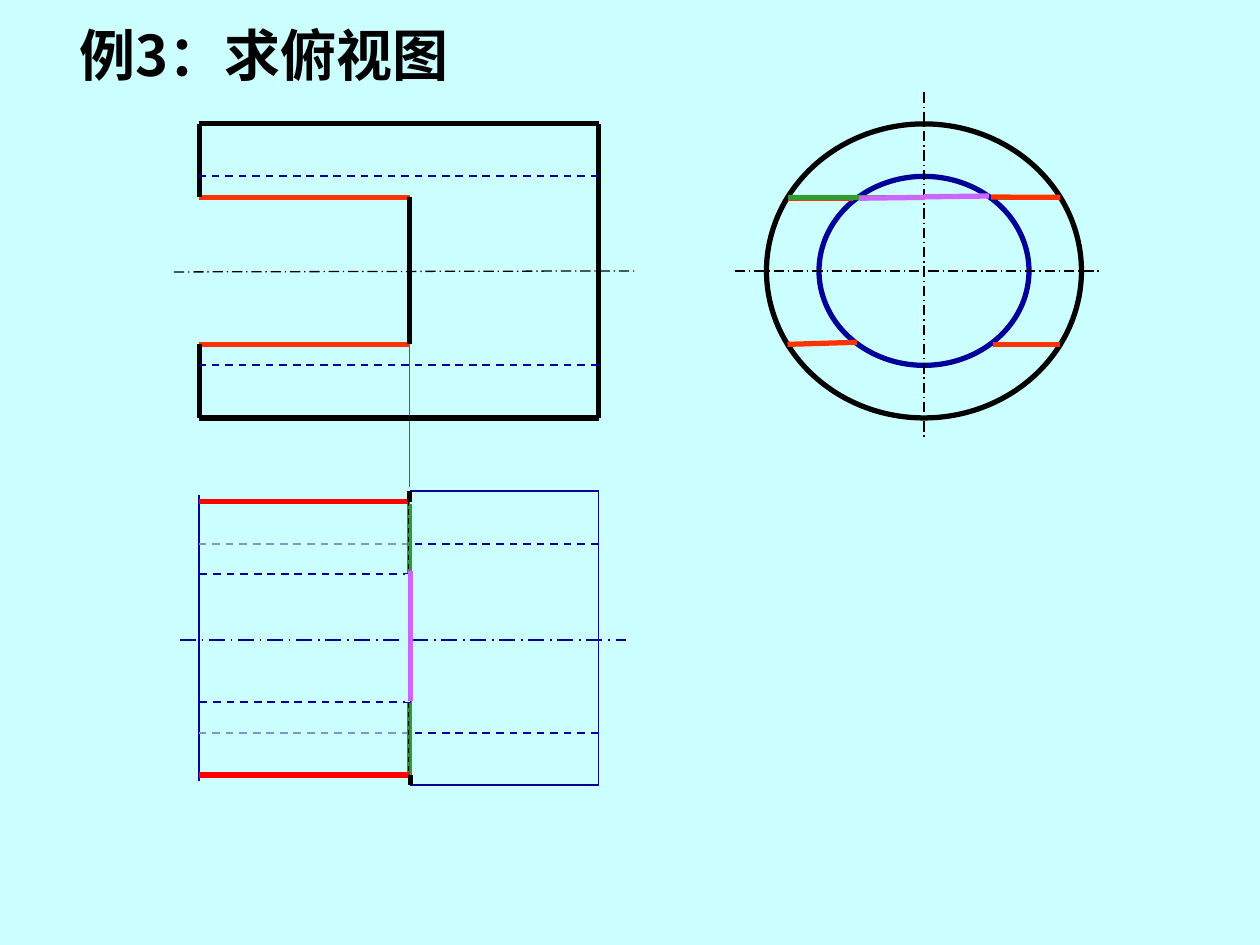
from lxml.etree import SubElement
from pptx import Presentation
from pptx.dml.color import RGBColor
from pptx.enum.dml import MSO_LINE
from pptx.enum.shapes import MSO_CONNECTOR, MSO_SHAPE
from pptx.enum.text import MSO_ANCHOR, MSO_AUTO_SIZE, PP_ALIGN
from pptx.oxml.ns import qn
from pptx.util import Pt

FONT = "Noto Sans CJK SC"
PAPER = RGBColor(0xCC, 0xFF, 0xFF)
BLACK = RGBColor(0x00, 0x00, 0x00)
NAVY = RGBColor(0x00, 0x00, 0x99)
PALE_BLUE = RGBColor(0x77, 0x99, 0xCC)
ORANGE = RGBColor(0xFF, 0x33, 0x00)
RED = RGBColor(0xFF, 0x00, 0x00)
GREEN = RGBColor(0x33, 0x99, 0x33)
TEAL = RGBColor(0x33, 0x99, 0x66)
MAGENTA = RGBColor(0xCC, 0x00, 0xFF)
VIOLET = RGBColor(0xCC, 0x66, 0xFF)
DASH, AXIS = MSO_LINE.DASH, MSO_LINE.LONG_DASH_DOT
THIN, THICK, HAIR = 1.1, 3, 0.75

# Shared drawing levels, in points
LEFT, SLOT, RIGHT = 114, 234, 342
TOP, BOTTOM = 70.8, 238.8
SLOT_TOP, SLOT_BOTTOM = 112.8, 196.8
BORE_TOP, BORE_BOTTOM = 100.8, 208.8
CX, CY = 528, 154.8
PLAN = 210  # drop from front view to top view
PLAN_TOP, PLAN_BOTTOM = TOP + PLAN, BOTTOM + PLAN
PLAN_BORES = (BORE_TOP + PLAN, BORE_BOTTOM + PLAN)
CUT_TOP, CUT_BOTTOM = 286.8, 442.8
INNER_TOP, INNER_BOTTOM = 328.2, 401

prs = Presentation()
prs.slide_width, prs.slide_height = Pt(720), Pt(540)
s = prs.slides.add_slide(prs.slide_layouts[5])
s.background.fill.solid()
s.background.fill.fore_color.rgb = PAPER


def line(x1, y1, x2, y2, color, width, dash=None):
    c = s.shapes.add_connector(MSO_CONNECTOR.STRAIGHT, Pt(x1), Pt(y1), Pt(x2), Pt(y2))
    c.line.color.rgb = color
    c.line.width = Pt(width)
    if dash:
        c.line.dash_style = dash
    SubElement(c._element.spPr, qn("a:effectLst"))


def ellipse(rx, ry, color, fill=None):
    sp = s.shapes.add_shape(MSO_SHAPE.OVAL, Pt(CX - rx), Pt(CY - ry), Pt(2 * rx), Pt(2 * ry))
    sp.shadow.inherit = False
    if fill is None:
        sp.fill.background()
    else:
        sp.fill.solid()
        sp.fill.fore_color.rgb = fill
    sp.line.color.rgb = color
    sp.line.width = Pt(THICK)


# Title, with room for the whole line
title = s.shapes.title
title.left, title.top, title.width, title.height = Pt(38.2), Pt(7.9), Pt(270), Pt(46)
tf = title.text_frame
frame = dict(word_wrap=False, auto_size=MSO_AUTO_SIZE.NONE, vertical_anchor=MSO_ANCHOR.TOP,
             margin_left=Pt(7.2), margin_right=Pt(7.2), margin_top=Pt(3.6), margin_bottom=Pt(3.6))
for name, value in frame.items():
    setattr(tf, name, value)
p = tf.paragraphs[0]
p.alignment = PP_ALIGN.LEFT
r = p.add_run()
r.text = "例3：求俯视图"
for name, value in dict(name=FONT, size=Pt(32), bold=True).items():
    setattr(r.font, name, value)
r.font.color.rgb = BLACK
SubElement(r._r.get_or_add_rPr(), qn("a:ea")).set("typeface", FONT)

# Top view: cylinder, with the bore paler where it is cut away
line(103, 365.8, 358, 365.8, NAVY, THIN, AXIS)
for x in (LEFT, RIGHT):
    line(x, PLAN_TOP, x, PLAN_BOTTOM, NAVY, THIN)
for y in PLAN_BORES:
    line(RIGHT, y, SLOT, y, NAVY, THIN, DASH)
    line(SLOT, y, LEFT, y, PALE_BLUE, THIN, DASH)
for y in (PLAN_BOTTOM, PLAN_TOP):
    line(LEFT, y, RIGHT, y, NAVY, THIN)

# Lower slot trace, projector and front view axis
line(SLOT, CUT_BOTTOM, SLOT, 365, GREEN, THICK)
line(CX, SLOT_TOP, 606, SLOT_TOP, TEAL, THICK)
line(SLOT, SLOT_BOTTOM, SLOT, PLAN_BOTTOM, MAGENTA, THIN)
line(99.4, 155.4, 362.4, CY, BLACK, HAIR, AXIS)

# Side view: circles and axes
ellipse(60, 54, NAVY, PAPER)
ellipse(90, 84, BLACK)
line(420, CY, 630, CY, BLACK, HAIR, AXIS)
line(CX, 52.8, CX, 250.8, BLACK, HAIR, AXIS)

# Front view: outline and slot
for y in (TOP, BOTTOM):
    line(LEFT, y, RIGHT, y, BLACK, THICK)
line(RIGHT, TOP, RIGHT, BOTTOM, BLACK, THICK)
for y in (SLOT_TOP, SLOT_BOTTOM):
    line(SLOT, y, LEFT, y, ORANGE, THICK)
line(SLOT, SLOT_TOP, SLOT, SLOT_BOTTOM, BLACK, THICK)
line(LEFT, SLOT_BOTTOM, LEFT, BOTTOM, BLACK, THICK)
line(LEFT, SLOT_TOP, LEFT, TOP, BLACK, THICK)

# Side view: slot faces
for x1, y1, x2, y2 in ((450, 113.4, 487.2, 113.4), (450, SLOT_BOTTOM, 489.6, 195.6),
                       (566.4, 112.6, 606, SLOT_TOP), (567.6, SLOT_BOTTOM, 606, SLOT_BOTTOM)):
    line(x1, y1, x2, y2, ORANGE, THICK)

# Front view: bore
for y in (BORE_TOP, BORE_BOTTOM):
    line(RIGHT, y, LEFT, y, NAVY, THIN, DASH)

# Upper slot trace in the top and side views
line(SLOT, 365.8, SLOT, 288, GREEN, THICK)
line(450, SLOT_TOP, CX, SLOT_TOP, GREEN, THICK)

# Top view: cut edges
for y in (CUT_BOTTOM, CUT_TOP):
    line(SLOT, y, LEFT, y, RED, THICK)
for y in (INNER_TOP, INNER_BOTTOM):
    line(234.6, y, LEFT, y, NAVY, THIN, DASH)

# Top view: background strokes clearing the removed edges
line(232.8, INNER_TOP, 232.8, INNER_BOTTOM, PAPER, THICK)
for y in (PLAN_TOP, PLAN_BOTTOM):
    line(84, y, SLOT, y, PAPER, 4.5)

# Top view: slot end face
line(234.6, CUT_BOTTOM, 234.6, PLAN_BOTTOM, BLACK, THICK)
line(SLOT, PLAN_TOP, SLOT, CUT_TOP, BLACK, THICK)
for y1, y2 in ((PLAN_TOP, INNER_TOP), (401.6, CUT_BOTTOM)):
    line(233.4, y1, 233.4, y2, BLACK, HAIR, DASH)

# Matching bore segments in the top and side views
line(234.7, 367, 234.7, 326.4, VIOLET, THICK)
line(CX, 112.5, 565.2, 112, VIOLET, THICK)
line(234.7, 400.6, 234.7, 365, VIOLET, THICK)
line(491, 113.3, 528.5, 112.8, VIOLET, THICK)

prs.save("out.pptx")
